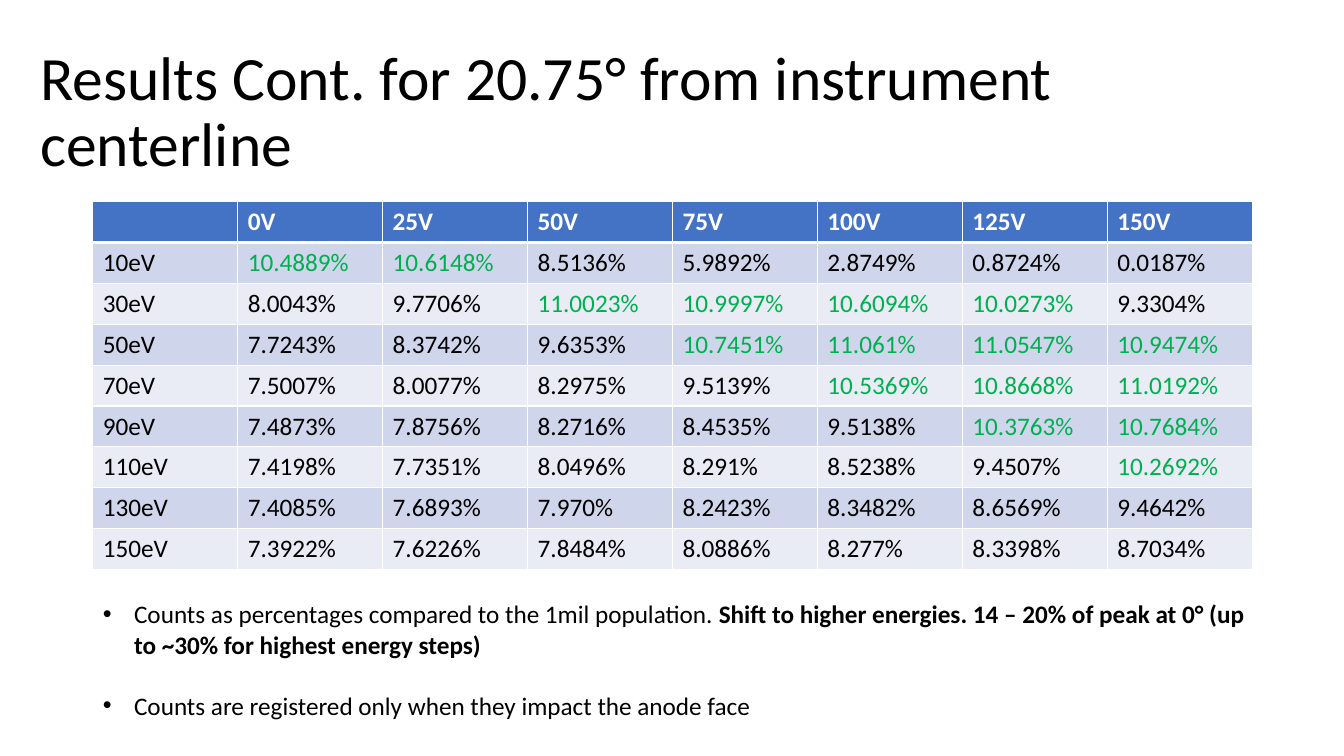
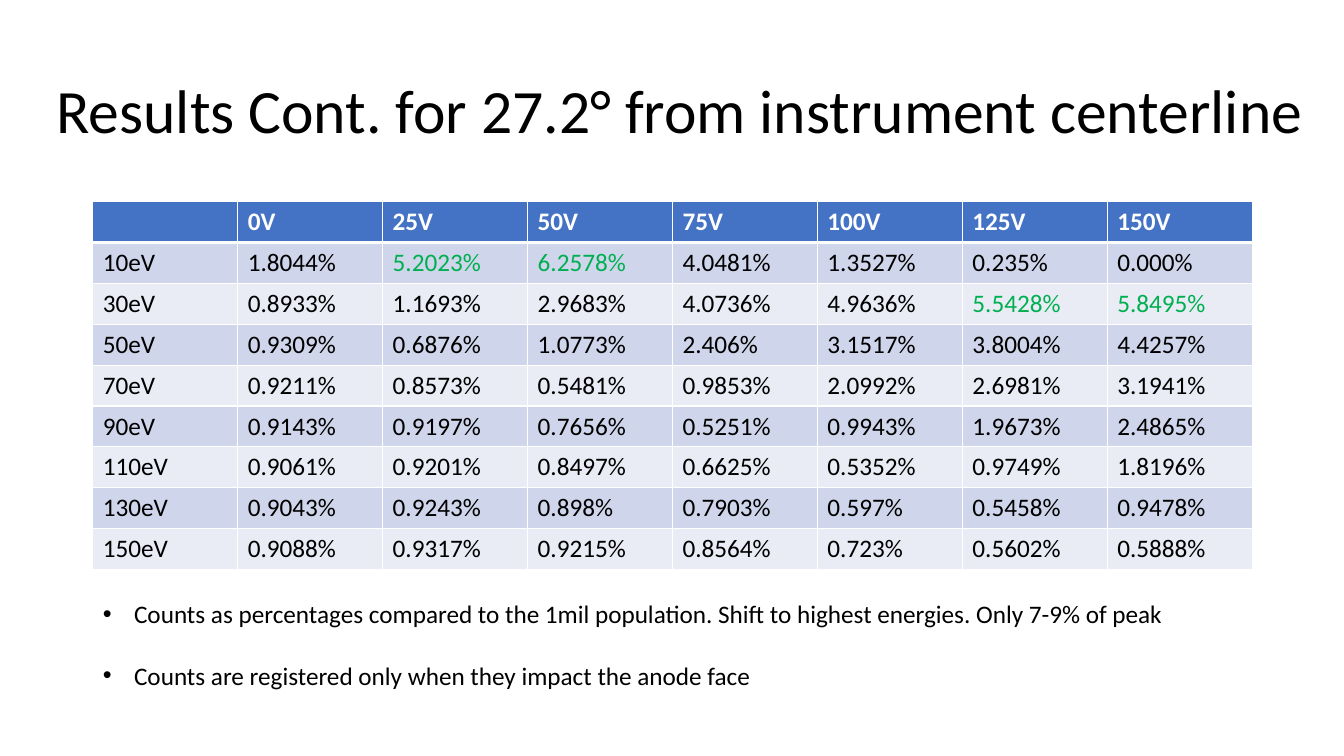
from dataclasses import dataclass

from lxml import etree
from pptx import Presentation
from pptx import util as u
from pptx.dml.color import RGBColor
from pptx.enum import text
from pptx.oxml import ns

# Shared style
FONT = "Calibri"
BLACK, WHITE, GREEN = "000000", "FFFFFF", "00B050"
HEADER, BANDS = "4472C4", ("CFD5EA", "E9EBF5")
LEFT, TABLE_TOP, TABLE_W, TABLE_H = 0.92, 2, 11.5, 3.65
NOTES_TOP, NOTES_W = 5.89, 11.77
VOLTS = [f"{v}V" for v in range(0, 151, 25)]
ENERGIES = [f"{e}eV" for e in range(10, 151, 20)]


@dataclass
class Result:
    title: str
    title_left: float
    title_width: float
    peak: float  # values from here up are green
    counts: str  # one line per energy, one value per voltage
    finding: str
    bold: bool = False


RESULTS = [
    Result(
        "Results Cont. for 20.75° from instrument centerline", 0.3, 12.74, 10,
        """10.4889 10.6148 8.5136 5.9892 2.8749 0.8724 0.0187
        8.0043 9.7706 11.0023 10.9997 10.6094 10.0273 9.3304
        7.7243 8.3742 9.6353 10.7451 11.061 11.0547 10.9474
        7.5007 8.0077 8.2975 9.5139 10.5369 10.8668 11.0192
        7.4873 7.8756 8.2716 8.4535 9.5138 10.3763 10.7684
        7.4198 7.7351 8.0496 8.291 8.5238 9.4507 10.2692
        7.4085 7.6893 7.970 8.2423 8.3482 8.6569 9.4642
        7.3922 7.6226 7.8484 8.0886 8.277 8.3398 8.7034""",
        "Shift to higher energies. 14 – 20% of peak at 0° "
        "(up to ~30% for highest energy steps)", bold=True),
    Result(
        "Results Cont. for 27.2° from instrument centerline", 0.46, 12.68, 5,
        """1.8044 5.2023 6.2578 4.0481 1.3527 0.235 0.000
        0.8933 1.1693 2.9683 4.0736 4.9636 5.5428 5.8495
        0.9309 0.6876 1.0773 2.406 3.1517 3.8004 4.4257
        0.9211 0.8573 0.5481 0.9853 2.0992 2.6981 3.1941
        0.9143 0.9197 0.7656 0.5251 0.9943 1.9673 2.4865
        0.9061 0.9201 0.8497 0.6625 0.5352 0.9749 1.8196
        0.9043 0.9243 0.898 0.7903 0.597 0.5458 0.9478
        0.9088 0.9317 0.9215 0.8564 0.723 0.5602 0.5888""",
        "Shift to highest energies. Only 7-9% of peak"),
]


def rgb(color: str) -> RGBColor:
    return RGBColor.from_string(color)


def add_text(p, content: str, size: float = 18, color: str = BLACK,
             bold: bool = False) -> None:
    r = p.add_run()
    r.text = content
    r.font.name, r.font.size, r.font.bold = FONT, u.Pt(size), bold
    r.font.color.rgb = rgb(color)


def place(sp, left: float, top: float, width: float, height: float) -> None:
    sp.left, sp.top = u.Inches(left), u.Inches(top)
    sp.width, sp.height = u.Inches(width), u.Inches(height)


def set_borders(cell, **widths: float) -> None:
    """Draw white cell edges; the keywords L, R, T, B override 1 pt."""
    tc_pr = cell._tc.get_or_add_tcPr()
    for side in "LRTB":
        ln = etree.SubElement(tc_pr, ns.qn(f"a:ln{side}"),
                              w=str(u.Pt(widths.get(side, 1))))
        fill = etree.SubElement(ln, ns.qn("a:solidFill"))
        etree.SubElement(fill, ns.qn("a:srgbClr"), val=WHITE)


def add_title(s, result: Result) -> None:
    sp = s.shapes.title
    place(sp, result.title_left, 0.4, result.title_width, 1.45)
    tf = sp.text_frame
    tf.word_wrap, tf.auto_size = True, text.MSO_AUTO_SIZE.NONE
    tf.vertical_anchor = text.MSO_ANCHOR.MIDDLE
    p = tf.paragraphs[0]
    p.alignment, p.line_spacing = text.PP_ALIGN.LEFT, 0.9
    add_text(p, result.title, size=44)


def add_counts(s, result: Result) -> None:
    values = [line.split() for line in result.counts.splitlines()]
    rows = [["", *VOLTS]]
    rows += [[e, *(f"{v}%" for v in line)] for e, line in zip(ENERGIES, values)]
    table = s.shapes.add_table(
        len(rows), len(rows[0]), u.Inches(LEFT), u.Inches(TABLE_TOP),
        u.Inches(TABLE_W), u.Inches(TABLE_H)).table
    for i, row in enumerate(rows):
        for j, content in enumerate(row):
            cell = table.cell(i, j)
            # The rule under the header is thicker
            set_borders(cell, T=3 if i == 1 else 1, B=3 if i == 0 else 1)
            cell.fill.solid()
            cell.fill.fore_color.rgb = rgb(BANDS[(i - 1) % 2] if i else HEADER)
            is_peak = i and j and float(values[i - 1][j - 1]) >= result.peak
            color = WHITE if i == 0 else GREEN if is_peak else BLACK
            if content:
                add_text(cell.text_frame.paragraphs[0], content,
                         color=color, bold=i == 0)


def add_bullet(p) -> None:
    p_pr = p._p.get_or_add_pPr()
    p_pr.set("marL", str(u.Inches(0.31)))
    p_pr.set("indent", str(-u.Inches(0.31)))
    etree.SubElement(p_pr, ns.qn("a:buFont"), typeface="Arial")
    etree.SubElement(p_pr, ns.qn("a:buChar"), char="•")


def add_notes(s, result: Result) -> None:
    sp = s.placeholders[1]
    place(sp, LEFT, NOTES_TOP, NOTES_W, 1.31)
    tf = sp.text_frame
    tf.word_wrap, tf.auto_size = True, text.MSO_AUTO_SIZE.NONE
    tf.vertical_anchor = text.MSO_ANCHOR.TOP
    bullets = [
        [("Counts as percentages compared to the 1mil population. ", False),
         (result.finding, result.bold)],
        [("Counts are registered only when they impact the anode face", False)],
    ]
    for i, runs in enumerate(bullets):
        p = tf.add_paragraph() if i else tf.paragraphs[0]
        p.line_spacing, p.space_before = 1.0, u.Pt(22 if i else 0)
        add_bullet(p)
        for content, bold in runs:
            add_text(p, content, bold=bold)


def main() -> None:
    prs = Presentation()
    prs.slide_width, prs.slide_height = u.Inches(13.33), u.Inches(7.5)
    for result in RESULTS:
        s = prs.slides.add_slide(prs.slide_layouts[1])
        add_title(s, result)
        add_counts(s, result)
        add_notes(s, result)
    prs.save("out.pptx")


if __name__ == "__main__":
    main()
